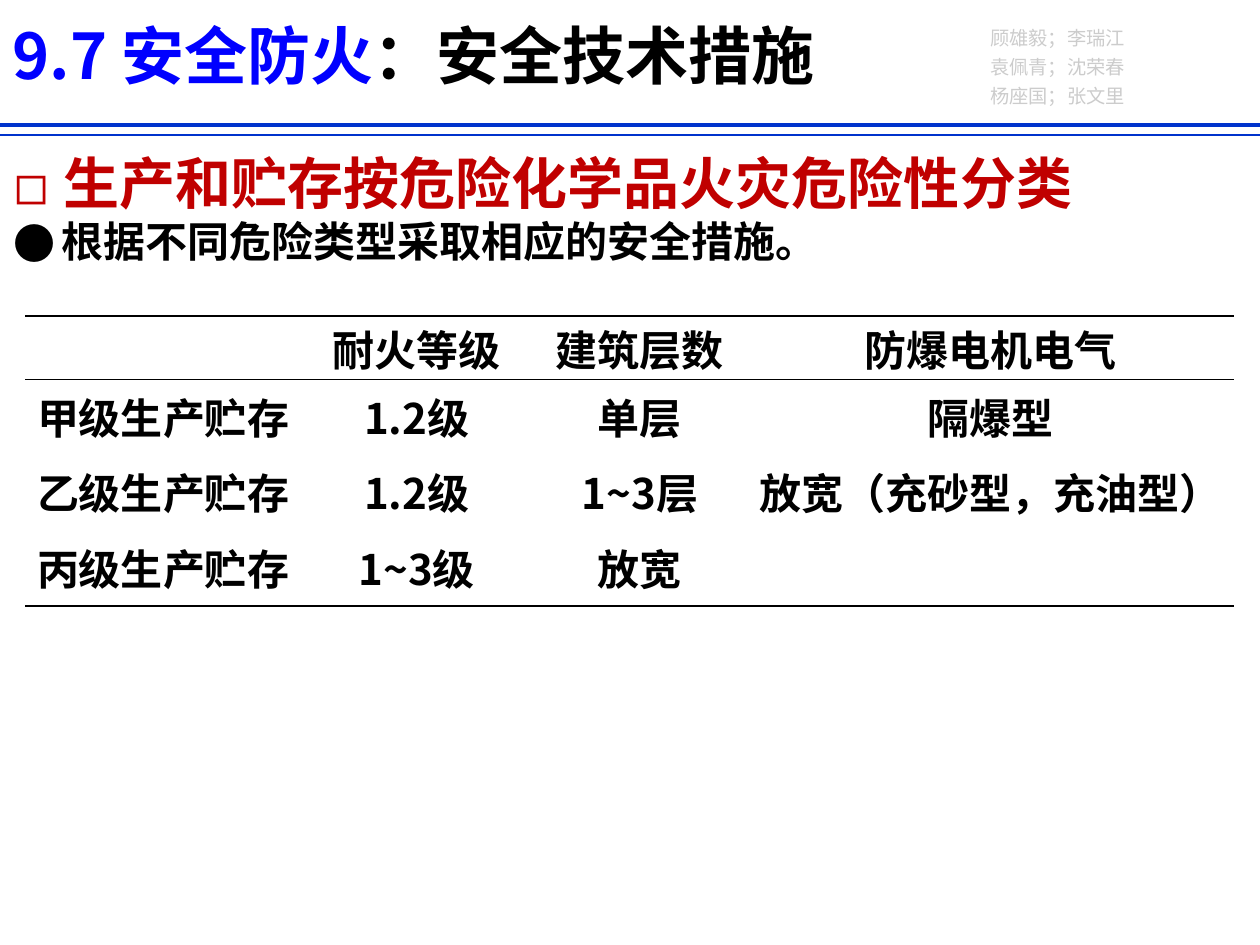
from typing import NamedTuple

from pptx import Presentation
from pptx.dml.color import RGBColor
from pptx.enum.shapes import MSO_CONNECTOR
from pptx.enum.text import MSO_ANCHOR, MSO_AUTO_SIZE, PP_ALIGN as Align
from pptx.oxml.ns import qn
from pptx.util import Pt
from lxml.etree import SubElement

FONT = "Noto Sans CJK SC"
COLORS = {"black": "000000", "blue": "0000FF", "rule": "0033CC",
          "red": "C00000", "gray": "CCCCCC"}


class Bullet(NamedTuple):
    char: str
    text: str
    size: float
    color: str
    indent: float


class Rule(NamedTuple):
    y: float
    weight: float


BULLETS = [
    Bullet("◻", "生产和贮存按危险化学品火灾危险性分类", 32, "red", 28.5),
    Bullet("●", "根据不同危险类型采取相应的安全措施。", 24, "black", 27.5),
]
HEADER_RULES = [Rule(71.3, 2.25), Rule(77, 1)]
AUTHORS = ["顾雄毅；李瑞江", "袁佩青；沈荣春", "杨座国；张文里"]
COLUMN_WIDTHS = [157.5, 132.5, 122.5, 278.5]
ROW_HEIGHTS = [36, 43.2, 43.2, 43.2]
TABLE_ROWS = [
    ["", "耐火等级", "建筑层数", "防爆电机电气"],
    ["甲级生产贮存", "1.2级", "单层", "隔爆型"],
    ["乙级生产贮存", "1.2级", "1~3层", "放宽（充砂型，充油型）"],
    ["丙级生产贮存", "1~3级", "放宽", ""],
]
# Weight of the horizontal line above each row, then below the last row
ROW_LINES = [1.5, 0.5, 0, 0, 1.5]


def add_text(paragraph, text: str, *, size: float, color: str = "black",
             bold: bool = True, align=Align.LEFT, spacing=1.0) -> None:
    paragraph.alignment = align
    paragraph.line_spacing = spacing
    paragraph.space_before = Pt(0)
    run = paragraph.add_run()
    run.text = text
    run.font.size = Pt(size)
    run.font.bold = bold
    run.font.name = FONT
    run.font.color.rgb = RGBColor.from_string(COLORS[color])
    SubElement(run.font._element, qn("a:ea"), typeface=FONT)


def set_frame(shape, left: float, top: float, width: float, height: float,
              inset_top: float, inset_bottom: float = 0):
    """Place a text shape and return its emptied, top-anchored frame."""
    shape.left, shape.top = Pt(left), Pt(top)
    shape.width, shape.height = Pt(width), Pt(height)
    frame = shape.text_frame
    frame.word_wrap = True
    frame.auto_size = MSO_AUTO_SIZE.NONE
    frame.vertical_anchor = MSO_ANCHOR.TOP
    frame.margin_left = frame.margin_right = Pt(7.2)
    frame.margin_top, frame.margin_bottom = Pt(inset_top), Pt(inset_bottom)
    return frame


def paragraphs_for(frame, items: list):
    """Yield each item with its own paragraph of the frame."""
    for index, item in enumerate(items):
        yield (frame.add_paragraph() if index else frame.paragraphs[0]), item


def add_rule(slide, rule: Rule) -> None:
    line = slide.shapes.add_connector(
        MSO_CONNECTOR.STRAIGHT, Pt(0), Pt(rule.y), Pt(720), Pt(rule.y))
    line.line.color.rgb = RGBColor.from_string(COLORS["rule"])
    line.line.width = Pt(rule.weight)
    SubElement(line._element.spPr, qn("a:effectLst"))


def add_bullet(paragraph, bullet: Bullet) -> None:
    add_text(paragraph, bullet.text, size=bullet.size, color=bullet.color,
             align=Align.JUSTIFY)
    properties = paragraph._p.get_or_add_pPr()
    properties.set("marL", str(Pt(bullet.indent)))
    properties.set("indent", str(-Pt(bullet.indent)))
    SubElement(properties, qn("a:buFont"), typeface=FONT)
    SubElement(properties, qn("a:buChar"), char=bullet.char)


def set_border(cell, side: str, weight: float) -> None:
    border = SubElement(cell._tc.get_or_add_tcPr(), qn(f"a:ln{side}"))
    if weight:
        border.set("w", str(Pt(weight)))
        fill = SubElement(border, qn("a:solidFill"))
        SubElement(fill, qn("a:srgbClr"), val=COLORS["black"])
    else:
        SubElement(border, qn("a:noFill"))


def add_safety_table(slide) -> None:
    table = slide.shapes.add_table(
        len(ROW_HEIGHTS), len(COLUMN_WIDTHS), Pt(14.4), Pt(180.7),
        Pt(sum(COLUMN_WIDTHS)), Pt(sum(ROW_HEIGHTS))).table
    table.first_row = table.horz_banding = False
    for column, width in zip(table.columns, COLUMN_WIDTHS):
        column.width = Pt(width)
    for row_index, (row, height) in enumerate(zip(table.rows, ROW_HEIGHTS)):
        row.height = Pt(height)
        weights = {"L": 0, "R": 0, "T": ROW_LINES[row_index],
                   "B": ROW_LINES[row_index + 1]}
        for cell, text in zip(row.cells, TABLE_ROWS[row_index]):
            cell.margin_left = cell.margin_right = Pt(3)
            # The header row is only as tall as its line of text
            cell.margin_top = Pt(3.6 if row_index else 1)
            cell.margin_bottom = Pt(3.6 if row_index else 0)
            for side, weight in weights.items():
                set_border(cell, side, weight)
            cell.fill.background()
            if text:
                add_text(cell.text_frame.paragraphs[0], text, size=24,
                         align=Align.CENTER)


def main() -> None:
    presentation = Presentation()
    presentation.slide_width, presentation.slide_height = Pt(720), Pt(540)
    slide = presentation.slides.add_slide(presentation.slide_layouts[1])

    authors = set_frame(slide.shapes.add_textbox(0, 0, 0, 0),
                        558.7, 8, 102, 55.4, 3.6, 2)
    for paragraph, name in paragraphs_for(authors, AUTHORS):
        add_text(paragraph, name, size=11, color="gray", bold=False,
                 align=Align.JUSTIFY, spacing=Pt(16.6))
    for rule in HEADER_RULES:
        add_rule(slide, rule)

    body = set_frame(slide.placeholders[1], 0.7, 77, 710.6, 89, 8)
    for paragraph, bullet in paragraphs_for(body, BULLETS):
        add_bullet(paragraph, bullet)

    title = set_frame(slide.shapes.title, 0, 9.4, 720, 52.2, 0).paragraphs[0]
    add_text(title, "9.7 安全防火", size=36, color="blue")
    add_text(title, "：安全技术措施", size=36)

    add_safety_table(slide)
    presentation.save("out.pptx")


if __name__ == "__main__":
    main()
